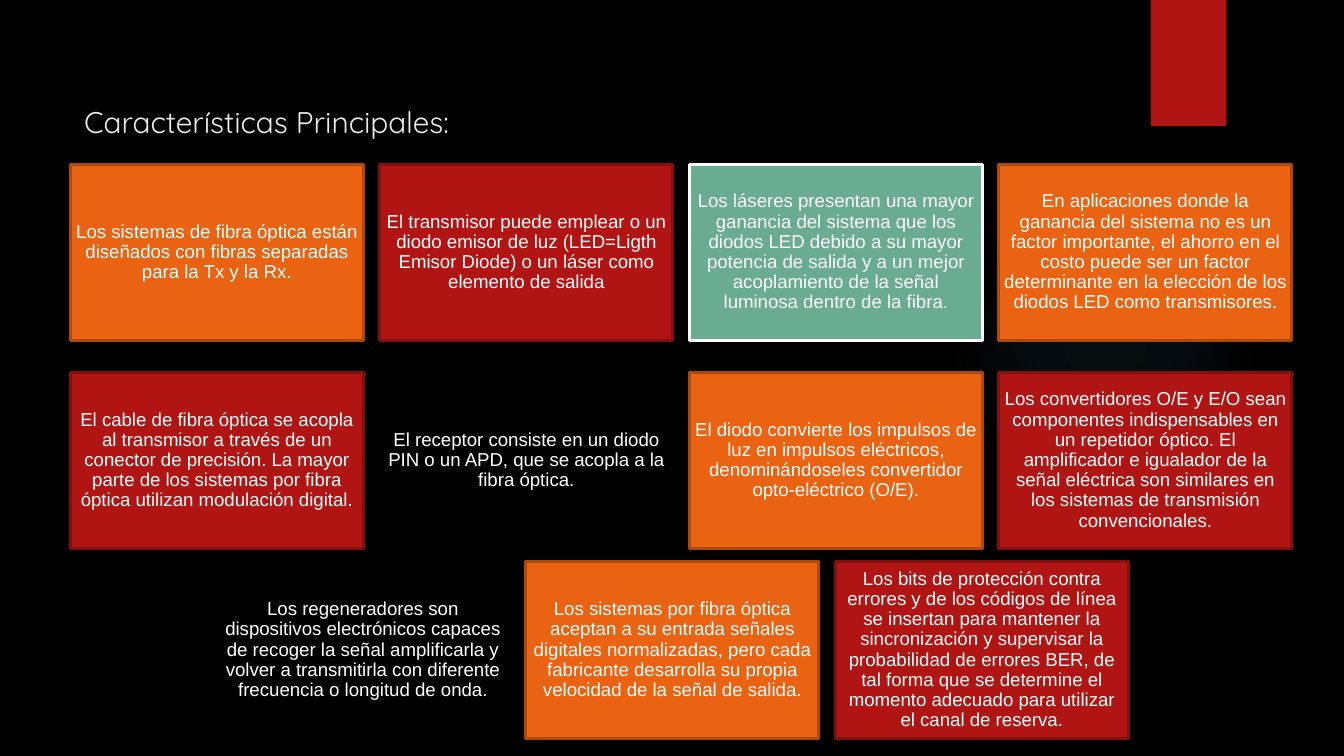
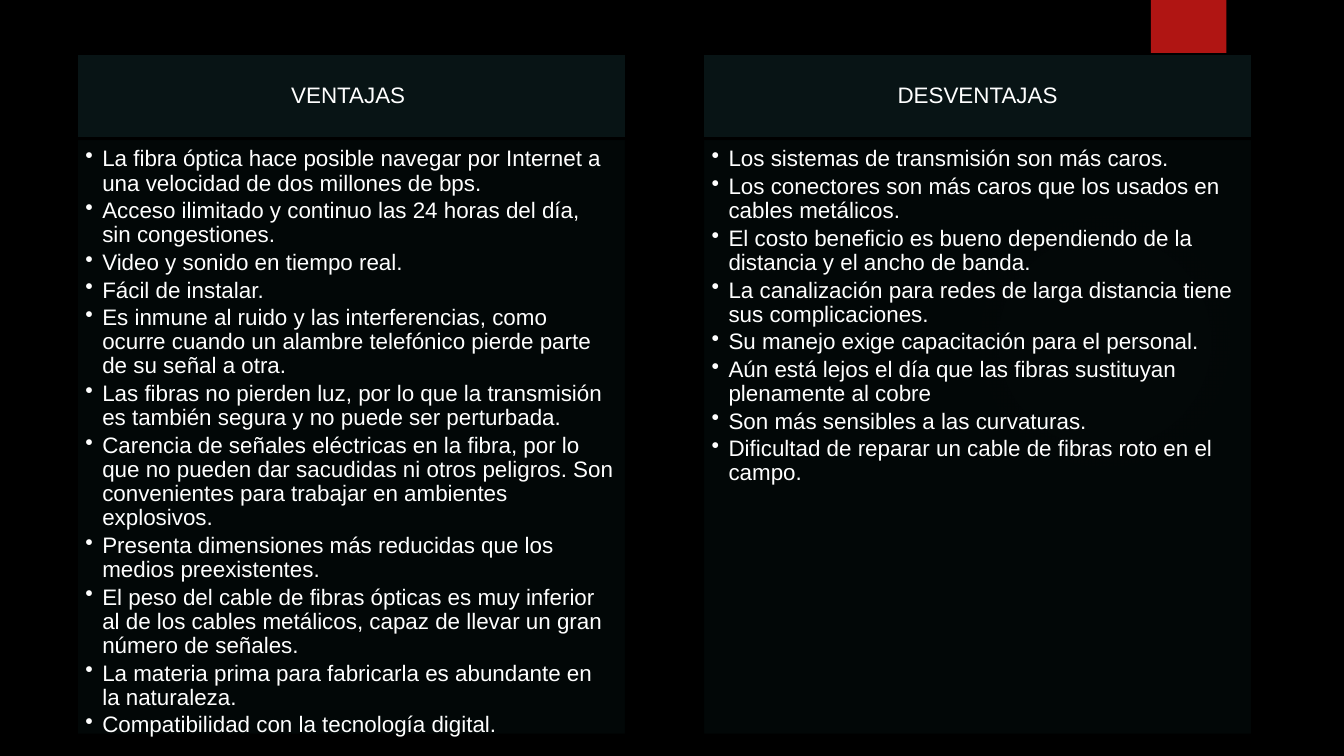
from pptx import Presentation
from pptx.dml.color import RGBColor
from pptx.enum.shapes import MSO_SHAPE
from pptx.enum.text import MSO_ANCHOR, PP_ALIGN
from pptx.oxml import parse_xml
from pptx.oxml.ns import nsdecls, qn
from pptx.util import Pt
from lxml.etree import SubElement

# Colours and fonts
BLACK = RGBColor(0x00, 0x00, 0x00)
WHITE = RGBColor(0xFF, 0xFF, 0xFF)
TITLE_GREY = RGBColor(0xEB, 0xEB, 0xEB)
RED = RGBColor(0xB0, 0x15, 0x13)
DARK_RED = RGBColor(0x82, 0x10, 0x0E)
ORANGE = RGBColor(0xEA, 0x63, 0x12)
DARK_ORANGE = RGBColor(0xAD, 0x49, 0x0D)
GREEN = RGBColor(0x6A, 0xAC, 0x90)
HEADING_TEAL = RGBColor(0x08, 0x14, 0x15)
PANEL_TEAL = RGBColor(0x03, 0x08, 0x08)
GLOW = RGBColor(0x50, 0xB9, 0xC1)
BODY_FONT = "Arial"
TITLE_FONT = "Quicksand"

# Fill and outline of each card style
ORANGE_CARD = (ORANGE, DARK_ORANGE)
RED_CARD = (RED, DARK_RED)
GREEN_CARD = (GREEN, WHITE)
BLACK_CARD = (BLACK, BLACK)

# Card grid
CARD_WIDTH, CARD_HEIGHT, CARD_PITCH = 157, 94.5, 165.8
CARD_INSETS = (2.8, 2.8, 2.8, 2.8)

# Each row: left, top, cards
CARD_ROWS = [
    (37.6, 88, [
        (ORANGE_CARD, "Los sistemas de fibra óptica están diseñados con fibras "
         "separadas para la Tx y la Rx."),
        (RED_CARD, "El transmisor puede emplear o un diodo emisor de luz "
         "(LED=Ligth Emisor Diode) o un láser como elemento de salida"),
        (GREEN_CARD, "Los láseres presentan una mayor ganancia del sistema que los "
         "diodos LED debido a su mayor potencia de salida y a un mejor "
         "acoplamiento de la señal luminosa dentro de la fibra."),
        (ORANGE_CARD, "En aplicaciones donde la ganancia del sistema no es un factor "
         "importante, el ahorro en el costo puede ser un factor determinante en "
         "la elección de los diodos LED como transmisores."),
    ]),
    (37.6, 199.5, [
        (RED_CARD, "El cable de fibra óptica se acopla al transmisor a través de un "
         "conector de precisión. La mayor parte de los sistemas por fibra óptica "
         "utilizan modulación digital."),
        (BLACK_CARD, "El receptor consiste en un diodo PIN o un APD, que se acopla "
         "a la fibra óptica."),
        (ORANGE_CARD, "El diodo convierte los impulsos de luz en impulsos eléctricos, "
         "denominándoseles convertidor opto-eléctrico (O/E)."),
        (RED_CARD, "Los convertidores O/E y E/O sean componentes indispensables en "
         "un repetidor óptico. El amplificador e igualador de la señal eléctrica "
         "son similares en los sistemas de transmisión convencionales."),
    ]),
    (115.8, 301, [
        (BLACK_CARD, "Los regeneradores son dispositivos electrónicos capaces de "
         "recoger la señal amplificarla y volver a transmitirla con diferente "
         "frecuencia o longitud de onda."),
        (ORANGE_CARD, "Los sistemas por fibra óptica aceptan a su entrada señales "
         "digitales normalizadas, pero cada fabricante desarrolla su propia "
         "velocidad de la señal de salida."),
        (RED_CARD, "Los bits de protección contra errores y de los códigos de línea "
         "se insertan para mantener la sincronización y supervisar la "
         "probabilidad de errores BER, de tal forma que se determine el momento "
         "adecuado para utilizar el canal de reserva."),
    ]),
]

ADVANTAGES = [
    "La fibra óptica hace posible navegar por Internet a una velocidad de dos "
    "millones de bps.",
    "Acceso ilimitado y continuo las 24 horas del día, sin congestiones.",
    "Video y sonido en tiempo real.",
    "Fácil de instalar.",
    "Es inmune al ruido y las interferencias, como ocurre cuando un alambre "
    "telefónico pierde parte de su señal a otra.",
    "Las fibras no pierden luz, por lo que la transmisión es también segura y no "
    "puede ser perturbada.",
    "Carencia de señales eléctricas en la fibra, por lo que no pueden dar sacudidas "
    "ni otros peligros. Son convenientes para trabajar en ambientes explosivos.",
    "Presenta dimensiones más reducidas que los medios preexistentes.",
    "El peso del cable de fibras ópticas es muy inferior al de los cables metálicos, "
    "capaz de llevar un gran número de señales.",
    "La materia prima para fabricarla es abundante en la naturaleza.",
    "Compatibilidad con la tecnología digital.",
]

DISADVANTAGES = [
    "Los sistemas de transmisión son más caros.",
    "Los conectores son más caros que los usados en cables metálicos.",
    "El costo beneficio es bueno dependiendo de la distancia y el ancho de banda.",
    "La canalización para redes de larga distancia tiene sus complicaciones.",
    "Su manejo exige capacitación para el personal.",
    "Aún está lejos el día que las fibras sustituyan plenamente al cobre",
    "Son más sensibles a las curvaturas.",
    "Dificultad de reparar un cable de fibras roto en el campo.",
]


def add_block(slide, box, fill, outline=None, preset=MSO_SHAPE.RECTANGLE):
    block = slide.shapes.add_shape(preset, *map(Pt, box))
    block.shadow.inherit = False
    if fill is None:
        block.fill.background()
    else:
        block.fill.solid()
        block.fill.fore_color.rgb = fill
    if outline is None:
        block.line.fill.background()
    else:
        block.line.color.rgb = outline
        block.line.width = Pt(1.5)
    return block


def set_frame(frame, insets, anchor):
    frame.word_wrap = True
    frame.vertical_anchor = anchor
    (frame.margin_left, frame.margin_top,
     frame.margin_right, frame.margin_bottom) = map(Pt, insets)


def add_text(paragraph, text, size, color=WHITE, font=BODY_FONT):
    run = paragraph.add_run()
    run.text = text
    run.font.size = Pt(size)
    run.font.name = font
    run.font.color.rgb = color


def add_centred_text(block, text, size, insets):
    set_frame(block.text_frame, insets, MSO_ANCHOR.MIDDLE)
    paragraph = block.text_frame.paragraphs[0]
    paragraph.alignment = PP_ALIGN.CENTER
    paragraph.line_spacing = 0.9
    paragraph.space_after = Pt(size * 0.35)
    add_text(paragraph, text, size)


def add_bullet(paragraph, text):
    paragraph.alignment = PP_ALIGN.LEFT
    paragraph.line_spacing = 0.9
    paragraph.space_after = Pt(1.8)
    properties = paragraph._p.get_or_add_pPr()
    properties.set("marL", str(Pt(9)))
    properties.set("indent", str(Pt(-9)))
    SubElement(properties, qn("a:buChar")).set("char", "•")
    add_text(paragraph, text, 12)


def add_glow(slide):
    glow = add_block(slide, (508.5, 99.5, 166.5, 166.5), None, preset=MSO_SHAPE.OVAL)
    stops = "".join(
        f'<a:gs pos="{place}000"><a:srgbClr val="{GLOW}">'
        f'<a:alpha val="{alpha}000"/></a:srgbClr></a:gs>'
        for place, alpha in ((0, 7), (36, 6), (69, 0)))
    gradient = parse_xml(
        f'<a:gradFill {nsdecls("a")}><a:gsLst>{stops}</a:gsLst><a:path path="circle">'
        '<a:fillToRect l="50000" t="50000" r="50000" b="50000"/></a:path></a:gradFill>')
    properties = glow._element.spPr
    properties.replace(properties.find(qn("a:noFill")), gradient)


def add_base_slide(deck):
    slide = deck.slides.add_slide(deck.slide_layouts[6])
    add_glow(slide)
    add_block(slide, (616.5, 0, 40.5, 67.5), RED)
    return slide


def add_title(slide, text):
    title = slide.shapes.add_textbox(Pt(38), Pt(31), Pt(575), Pt(68.5))
    set_frame(title.text_frame, (7.2, 7.2, 7.2, 7.2), MSO_ANCHOR.MIDDLE)
    add_text(title.text_frame.paragraphs[0], text, 16, TITLE_GREY, TITLE_FONT)


def add_card(slide, left, top, style, text):
    card = add_block(slide, (left, top, CARD_WIDTH, CARD_HEIGHT), *style)
    add_centred_text(card, text, 10, CARD_INSETS)


def add_list_panel(slide, left, heading, items):
    width, top, heading_height = 294.5, 29, 45.3
    header = add_block(slide, (left, top, width, heading_height), HEADING_TEAL, BLACK)
    add_centred_text(header, heading, 12, (6.5, 3.6, 6.5, 3.6))

    panel = add_block(slide, (left, top + heading_height, width, 319.5),
                      PANEL_TEAL, BLACK)
    for color in panel._element.spPr.iter(qn("a:srgbClr")):
        SubElement(color, qn("a:alpha")).set("val", "90000")
    frame = panel.text_frame
    set_frame(frame, (4.8, 4.8, 6.4, 7.2), MSO_ANCHOR.TOP)
    for index, item in enumerate(items):
        add_bullet(frame.add_paragraph() if index else frame.paragraphs[0], item)


def main():
    deck = Presentation()
    deck.slide_width, deck.slide_height = Pt(720), Pt(405)
    background = deck.slide_master.background.fill
    background.solid()
    background.fore_color.rgb = BLACK

    # Main characteristics
    features = add_base_slide(deck)
    add_title(features, "Características Principales:")
    for left, top, cards in CARD_ROWS:
        for column, (style, text) in enumerate(cards):
            add_card(features, left + column * CARD_PITCH, top, style, text)

    # Advantages and disadvantages
    comparison = add_base_slide(deck)
    add_list_panel(comparison, 41, "VENTAJAS ", ADVANTAGES)
    add_list_panel(comparison, 376.5, "DESVENTAJAS", DISADVANTAGES)

    deck.save("out.pptx")


if __name__ == "__main__":
    main()
